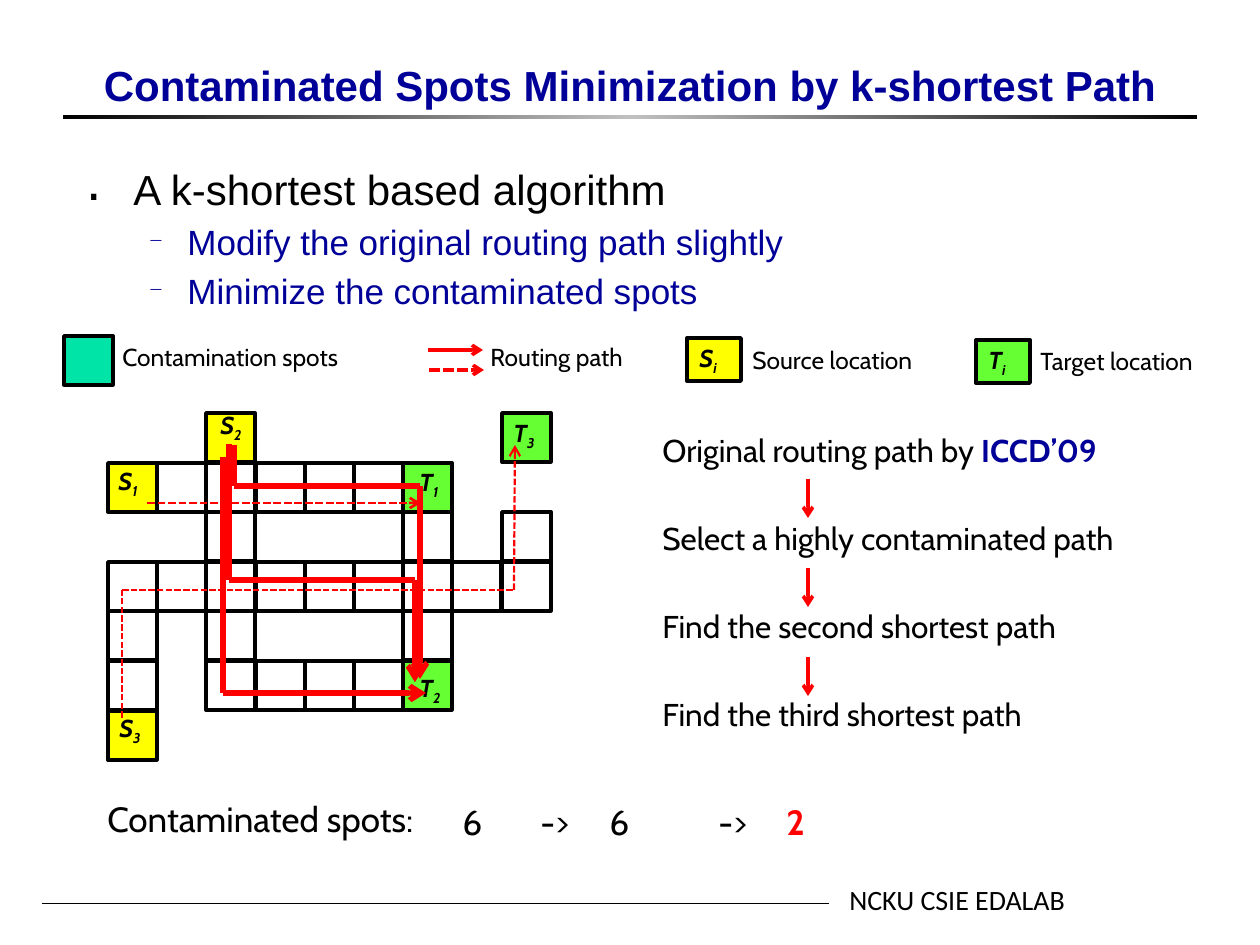
"""Build the slide on minimizing contaminated spots with k-shortest paths."""
from copy import deepcopy
from dataclasses import dataclass
from itertools import pairwise
from typing import NamedTuple

from lxml import etree
from pptx import Presentation
from pptx.dml.color import RGBColor
from pptx.enum.dml import MSO_LINE
from pptx.enum.shapes import MSO_CONNECTOR, MSO_SHAPE
from pptx.enum.text import MSO_ANCHOR, PP_ALIGN
from pptx.oxml.ns import qn
from pptx.util import Pt

EMU_PER_PX = 914400 / 126
RECTANGLE = MSO_SHAPE.RECTANGLE
STRAIGHT = MSO_CONNECTOR.STRAIGHT
DASHED = MSO_LINE.SQUARE_DOT
BOTTOM = MSO_ANCHOR.BOTTOM
CENTER = PP_ALIGN.CENTER

BLACK = RGBColor(0, 0, 0)
SILVER = RGBColor(0xC0, 0xC0, 0xC0)
WHITE = RGBColor(0xFF, 0xFF, 0xFF)
NAVY = RGBColor(0, 0, 0x99)
RED = RGBColor(0xFF, 0, 0)
YELLOW = RGBColor(0xFF, 0xFF, 0)
GREEN = RGBColor(0x66, 0xFF, 0x33)
TEAL = RGBColor(0, 0xE4, 0xA8)

GRID_LEFT, GRID_TOP, CELL = 108, 413, 49
COLUMN_PITCH, ROW_PITCH = 49.2, 49.6
GRID = (
    "..S.....T",
    "SooooooT.".replace("oT", "T") + ".",
    "..o...o.o",
    "ooooooooo",
    "o.o...o..",
    "o.ooooT..",
    "S........",
)
CELL_FILLS = {"S": YELLOW, "T": GREEN, "o": WHITE}


class Box(NamedTuple):
    left: int
    top: int
    width: int
    height: int


class Span(NamedTuple):
    text: str
    color: RGBColor = BLACK
    bold: bool = False
    italic: bool = False
    baseline: int = 0


@dataclass(frozen=True)
class Label:
    box: Box
    spans: tuple[Span, ...]
    size: int
    font: str = "Cabin"


@dataclass(frozen=True)
class Route:
    points: tuple[tuple[int, int], ...]
    width: float = 3
    dashed: bool = False
    arrow: bool = True
    color: RGBColor = RED


@dataclass(frozen=True)
class Bullet:
    text: str
    size: int
    color: RGBColor
    mark: str
    mark_percent: int
    margin: int
    hanging: int
    space_before: int
    level: int = 0


def emu(px: float) -> int:
    return round(px * EMU_PER_PX)


def symbol(letter: str, index: str) -> tuple[Span, ...]:
    return (Span(letter, bold=True, italic=True),
            Span(index, bold=True, italic=True, baseline=-25000))


def write(paragraph, spans: tuple[Span, ...], size: int, font: str) -> None:
    for span in spans:
        run = paragraph.add_run()
        run.text = span.text
        formats = {"name": font, "size": Pt(size), "bold": span.bold, "italic": span.italic}
        for attribute, value in formats.items():
            setattr(run.font, attribute, value)
        run.font.color.rgb = span.color
        if span.baseline:
            run._r.get_or_add_rPr().set("baseline", str(span.baseline))


def draw_text(slide, label: Label):
    frame = slide.shapes.add_textbox(*map(emu, label.box)).text_frame
    frame.word_wrap = True
    write(frame.paragraphs[0], label.spans, label.size, label.font)
    return frame


def draw_square(slide, box: Box, fill: RGBColor, width: float = 2):
    square = slide.shapes.add_shape(RECTANGLE, *map(emu, box))
    square.shadow.inherit = False
    square.fill.solid()
    square.fill.fore_color.rgb = fill
    square.line.color.rgb = BLACK
    square.line.width = Pt(width)
    return square


def draw_route(slide, route: Route) -> None:
    legs = list(pairwise(route.points))
    for number, (start, end) in enumerate(legs, 1):
        leg = slide.shapes.add_connector(STRAIGHT, *map(emu, start + end))
        leg.line.color.rgb = route.color
        leg.line.width = Pt(route.width)
        if route.dashed:
            leg.line.dash_style = DASHED
        if route.arrow and number == len(legs):
            etree.SubElement(leg.line._get_or_add_ln(), qn("a:tailEnd"), type="arrow")
        etree.SubElement(leg._element.spPr, qn("a:effectLst"))


def draw_title_rule(slide) -> None:
    rule = slide.shapes.add_shape(RECTANGLE, *map(emu, Box(63, 115, 1134, 4)))
    rule.shadow.inherit = False
    rule.line.fill.background()
    rule.fill.gradient()
    rule.fill.gradient_angle = 0
    stops = rule._element.spPr.find(".//" + qn("a:gsLst"))
    stops.append(deepcopy(stops[0]))
    for stop, color, position in zip(rule.fill.gradient_stops, (BLACK, SILVER, BLACK), (0, 0.5, 1)):
        stop.color.rgb = color
        stop.position = position


def draw_bullets(slide, box: Box, bullets: tuple[Bullet, ...]) -> None:
    frame = slide.shapes.add_textbox(*map(emu, box)).text_frame
    frame.word_wrap = True
    for number, bullet in enumerate(bullets):
        paragraph = frame.add_paragraph() if number else frame.paragraphs[0]
        paragraph.level = bullet.level
        paragraph.space_before = Pt(bullet.space_before)
        write(paragraph, (Span(bullet.text, bullet.color),), bullet.size, "Arial")
        properties = paragraph._p.get_or_add_pPr()
        properties.set("marL", str(emu(bullet.margin)))
        properties.set("indent", str(-emu(bullet.hanging)))
        mark_color = etree.SubElement(properties, qn("a:buClr"))
        etree.SubElement(mark_color, qn("a:srgbClr"), val=str(bullet.color))
        etree.SubElement(properties, qn("a:buSzPct"), val=str(bullet.mark_percent * 1000))
        etree.SubElement(properties, qn("a:buChar"), char=bullet.mark)


BULLETS = (
    Bullet("A k-shortest based algorithm", 24, BLACK, "․", 120, 48, 48, 5),
    Bullet("Modify the original routing path slightly", 20, NAVY, "─", 55, 102, 39, 4, 1),
    Bullet("Minimize the contaminated spots", 20, NAVY, "─", 55, 102, 39, 4, 1),
)
SPOT_LABELS = tuple(
    Label(Box(left, top, 66, 43), symbol(*name), 14)
    for name, left, top in (("S1", 106, 460), ("T1", 407, 461), ("S2", 208, 404),
                            ("T2", 407, 667), ("S3", 107, 707), ("T3", 501, 412)))
LEGEND_LABELS = tuple(
    Label(Box(left, top, width, 43), (Span(text),), 14)
    for text, left, top, width in (("Contamination spots", 110, 336, 307),
                                   ("Routing path", 478, 336, 200),
                                   ("Source location", 740, 339, 226),
                                   ("Target location", 1028, 340, 230)))
STEPS = (
    (Span("Original routing path by "), Span("ICCD’09", NAVY, True)),
    (Span("Select a highly contaminated path"),),
    (Span("Find the second shortest path"),),
    (Span("Find the third shortest path"),),
)
COUNTS = tuple(
    Label(Box(left, top, width, 55), (span,), 20)
    for span, left, top, width in ((Span("Contaminated spots:"), 95, 791, 348),
                                   (Span("6"), 450, 794, 53), (Span("->"), 528, 794, 60),
                                   (Span("6"), 597, 794, 53), (Span("->"), 706, 794, 60),
                                   (Span("2", RED, True), 774, 794, 53)))
SECOND_PATH = ((229, 444), (229, 580), (415, 580), (415, 682))
ROUTES = (
    Route(((147, 503), (421, 503)), 1.5, True),
    Route(((122, 718), (122, 590), (514, 590), (515, 445)), 1.25, True),
    Route(SECOND_PATH, 1.5, True),
    Route(SECOND_PATH),
    Route(((234, 445), (234, 486), (420, 486), (420, 679))),
    Route(((223, 457), (223, 693), (426, 693))),
    Route(((428, 350), (483, 350)), 2),
    Route(((429, 370), (484, 370)), 2, True),
    Route(((42, 903), (829, 903)), 0.5, arrow=False, color=BLACK),
)


def main() -> None:
    deck = Presentation()
    deck.slide_width, deck.slide_height = emu(1260), emu(945)
    slide = deck.slides.add_slide(deck.slide_layouts[6])

    draw_title_rule(slide)
    heading = (Span("Contaminated Spots Minimization by k-shortest Path", NAVY, True),)
    title = draw_text(slide, Label(Box(79, 0, 1102, 116), heading, 24, "Arial"))
    title.vertical_anchor = BOTTOM
    title.paragraphs[0].alignment = CENTER
    draw_bullets(slide, Box(73, 157, 1113, 170), BULLETS)

    for row, cells in enumerate(GRID):
        for column, kind in enumerate(cells):
            if kind in CELL_FILLS:
                corner = (round(GRID_LEFT + column * COLUMN_PITCH), round(GRID_TOP + row * ROW_PITCH))
                draw_square(slide, Box(*corner, CELL, CELL), CELL_FILLS[kind])

    draw_square(slide, Box(64, 336, CELL, CELL), TEAL)
    for letter, left, top in (("S", 687, 338), ("T", 976, 340)):
        key = draw_square(slide, Box(left, top, 54, 43), CELL_FILLS[letter], 2.25)
        write(key.text_frame.paragraphs[0], symbol(letter, "i"), 14, "Cabin")
        key.text_frame.paragraphs[0].alignment = PP_ALIGN.LEFT

    steps = tuple(Label(Box(650, 425 + 88 * number, 542, 50), spans, 18)
                  for number, spans in enumerate(STEPS))
    footer = Label(Box(837, 876, 276, 47), (Span("NCKU CSIE EDALAB"),), 16, "Calibri")
    for label in SPOT_LABELS + LEGEND_LABELS + steps + COUNTS + (footer,):
        draw_text(slide, label)

    step_arrows = tuple(Route(((808, top), (808, top + 39)), 2) for top in range(479, 659, 89))
    for route in ROUTES + step_arrows:
        draw_route(slide, route)
    deck.save("out.pptx")


if __name__ == "__main__":
    main()
